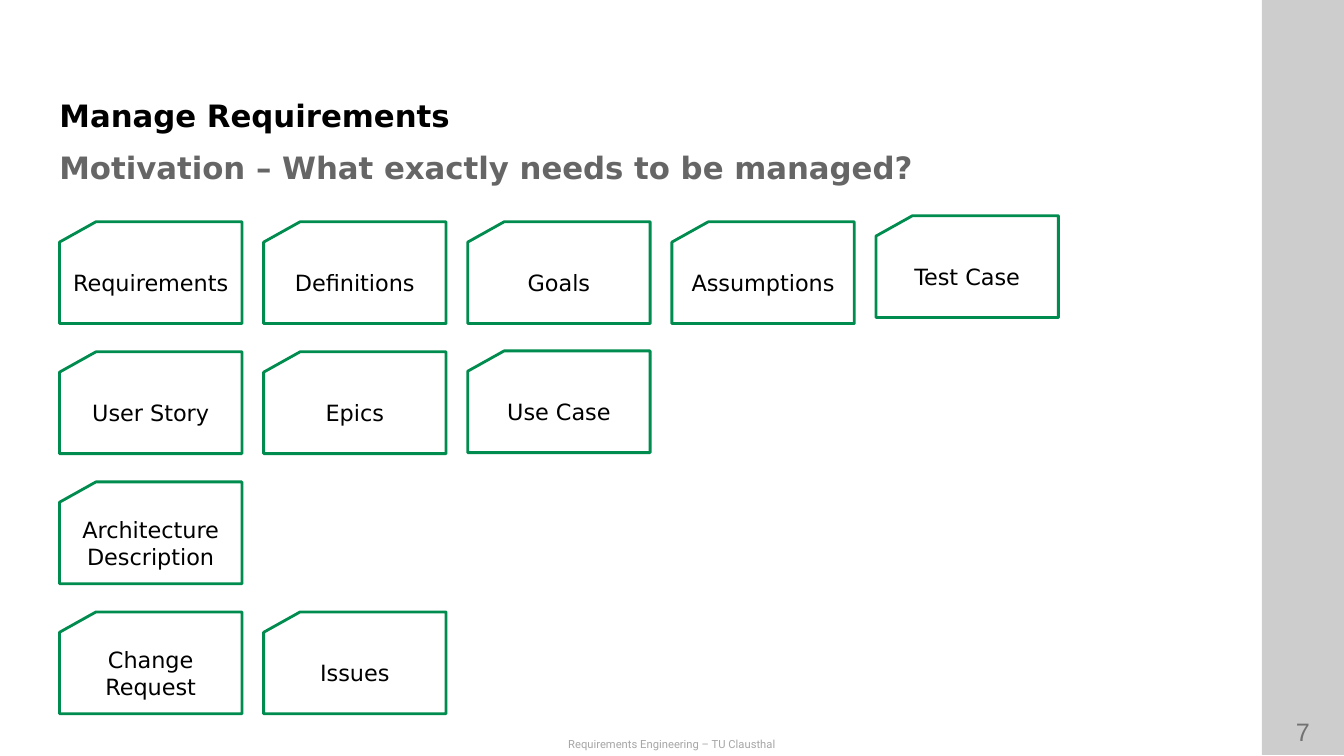
from lxml import etree
from pptx import Presentation
from pptx import util as u
from pptx.dml import color
from pptx.enum import shapes, text
from pptx.oxml import ns

SANS = "DejaVu Sans"
LEFT, TOP = 42.5, 158.4
STEP_X, STEP_Y = 145.8, 92.9
CARD_W, CARD_H = 130.3, 72.7
ROWS = [
    ["Requirements", "Definitions", "Goals", "Assumptions", "Test Case"],
    ["User Story", "Epics", "Use Case"],
    ["Architecture Description"],
    ["Change Request", "Issues"],
]
LIFT = {"Test Case": 4.3, "Use Case": 0.7}


def rgb(code):
    return color.RGBColor.from_string(code)


def apply(target, values):
    for name, value in values.items():
        setattr(target, name, value)


def write(shape, words, size, tint, face=SANS, bold=False, align="LEFT",
          anchor="MIDDLE", inset=(7.2, 3.6)):
    side, edge = map(u.Pt, inset)
    frame = shape.text_frame
    apply(frame, {
        "text": words,
        "word_wrap": True,
        "auto_size": text.MSO_AUTO_SIZE.NONE,
        "vertical_anchor": text.MSO_ANCHOR[anchor],
        "margin_left": side, "margin_right": side,
        "margin_top": edge, "margin_bottom": edge,
    })
    para = frame.paragraphs[0]
    para.alignment = text.PP_ALIGN[align]
    font = para.runs[0].font
    apply(font, {"name": face, "size": u.Pt(size), "bold": bold})
    font.color.rgb = rgb(tint)


def label(slide, box, words, size, tint, **style):
    shape = slide.shapes.add_textbox(*map(u.Pt, box))
    write(shape, words, size, tint, **style)


def block(slide, kind, box, fill):
    shape = slide.shapes.add_shape(kind, *map(u.Pt, box))
    shape.shadow.inherit = False
    shape.fill.solid()
    shape.fill.fore_color.rgb = rgb(fill)
    return shape


def band(slide):
    kind = shapes.MSO_SHAPE.RECTANGLE
    shape = block(slide, kind, (901.4, 0, 58.6, 539.3), "000000")
    shape.line.fill.background()
    tint = next(shape.fill._xPr.iter(ns.qn("a:srgbClr")))
    etree.SubElement(tint, ns.qn("a:alpha")).set("val", "10000")


def card(slide, words, col, row):
    left = LEFT + col * STEP_X
    top = TOP + row * STEP_Y - LIFT.get(words, 0)
    kind = shapes.MSO_SHAPE.FLOWCHART_CARD
    shape = block(slide, kind, (left, top, CARD_W, CARD_H), "FFFFFF")
    shape.line.color.rgb = rgb("008C4F")
    shape.line.width = u.Pt(2)
    write(shape, words, 16, "000000", align="CENTER")


def heading(slide, words):
    title = slide.shapes.title
    apply(title, {"left": u.Pt(LEFT), "top": u.Pt(56.9),
                  "width": u.Pt(815.8), "height": u.Pt(38.9)})
    write(title, words, 22, "000000", bold=True, anchor="BOTTOM",
          inset=(0, 0))


def main():
    deck = Presentation()
    apply(deck, {"slide_width": u.Pt(960), "slide_height": u.Pt(540)})
    slide = deck.slides.add_slide(deck.slide_layouts[5])

    band(slide)
    label(slide, (900.7, 508.3, 59.8, 28.8), "7", 18, "808080",
          face="Arial", align="CENTER", anchor="TOP")
    band(slide)
    label(slide, (0, 523.4, 960, 16.6),
          "Requirements Engineering – TU Clausthal", 8, "A6A6A6",
          face="Roboto", align="CENTER", anchor="TOP")

    heading(slide, "Manage Requirements")
    label(slide, (LEFT, 100.1, 815.8, 38.9),
          "Motivation – What exactly needs to be managed?", 22, "666666",
          bold=True, inset=(0, 0))

    for row, names in enumerate(ROWS):
        for col, words in enumerate(names):
            card(slide, words, col, row)

    deck.save("out.pptx")


if __name__ == "__main__":
    main()
